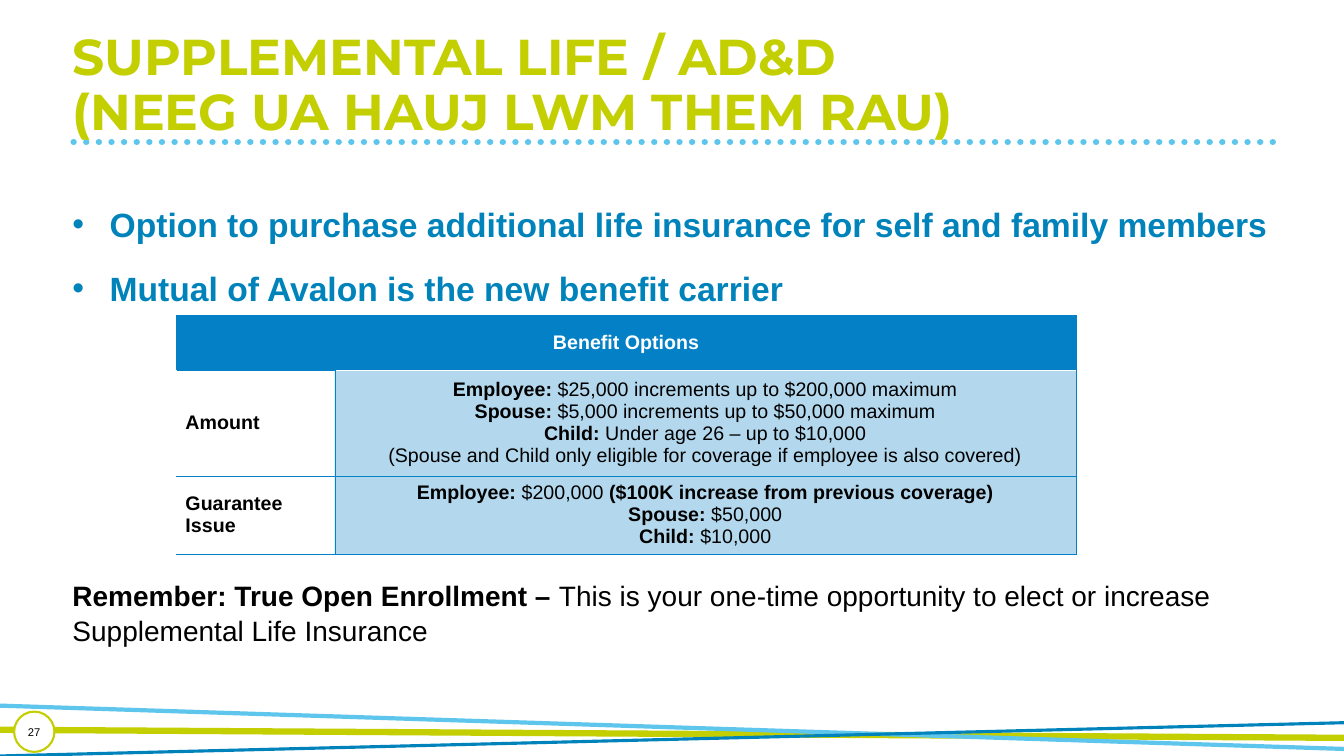
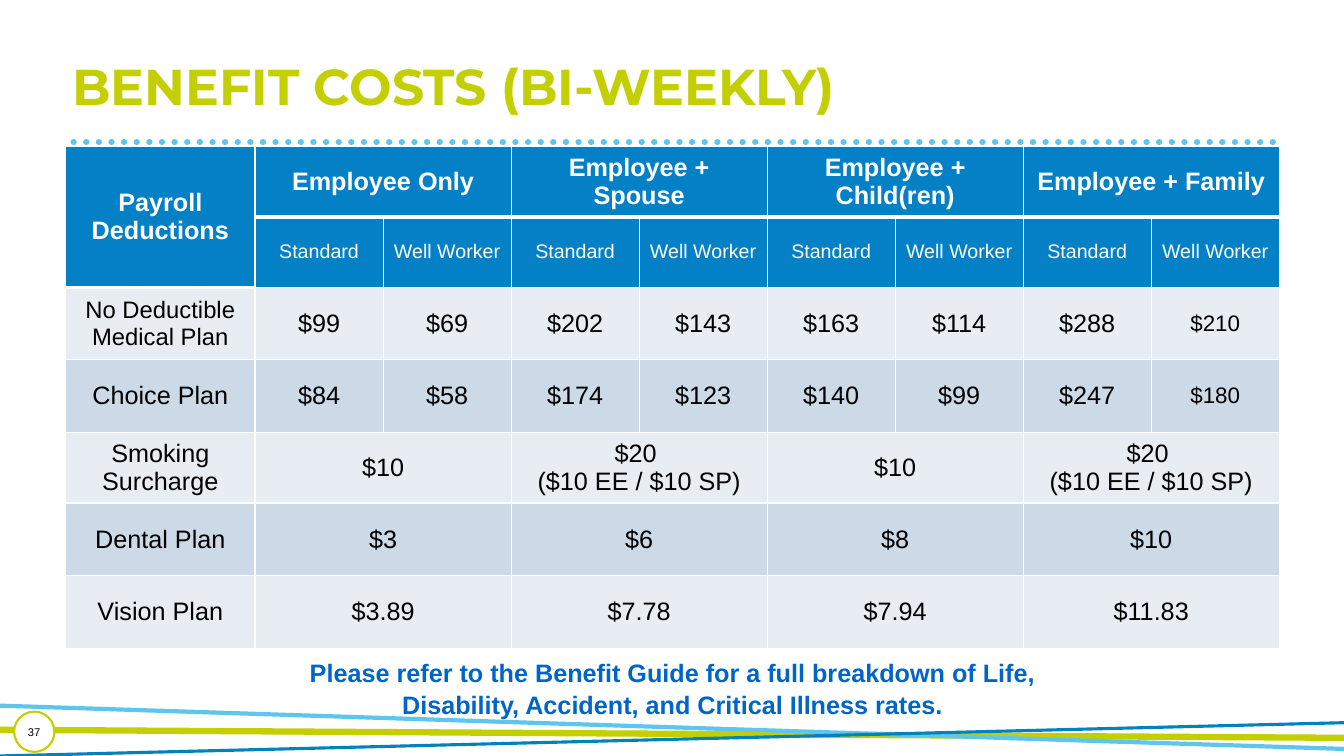
import pptx
import pptx.util
import pptx.dml.color
import pptx.enum.dml
import pptx.enum.shapes
import pptx.enum.text
import pptx.oxml.ns
from lxml import etree

Inches = pptx.util.Inches
Pt = pptx.util.Pt
qn = pptx.oxml.ns.qn
ALIGN = pptx.enum.text.PP_ALIGN
ANCHOR = pptx.enum.text.MSO_ANCHOR
SHAPE = pptx.enum.shapes.MSO_SHAPE

# Colours
LIME, SKY, BLUE, HEADER = "C3CF00", "5EC5ED", "0083BB", "0481C6"
NOTE_BLUE, WHITE, BLACK = "0065C6", "FFFFFF", "000000"
BAND_COLOURS = ["E7EDF3", "CCD9E7"]

# Shared lines: start, end, colour, width, dotted
FRAME_LINES = [
    ((0.73, 1.41), (12.66, 1.41), SKY, 4.5, True),
    ((-0.01, 7.24), (13.33, 7.32), LIME, 4.5, False),
    ((13.33, 7.43), (-0.01, 7), SKY, 3, False),
    ((-0.01, 7.5), (13.33, 7.17), BLUE, 2.25, False),
]

# Text styles
TITLE = {"size": Pt(36), "name": "Montserrat", "bold": True}
BULLET = {"size": Pt(24), "name": "Arial", "bold": True}
REMINDER = {"size": Pt(20), "name": "Arial", "bold": False}
NOTE = {"size": Pt(18), "name": "Arial", "bold": True}
NUMBER = {"size": Pt(8), "name": "Arial", "bold": False}
OPTION = {"size": Pt(14), "name": "Arial", "bold": False}
COST = {"size": Pt(18), "name": "Arial", "bold": False}

# Content; a paragraph is a list of (text, bold) runs
BULLETS = [
    [("Option to purchase additional life insurance for self and family members", True)],
    [("Mutual of Avalon is the new benefit carrier", True)],
]
REMEMBER = [[
    ("Remember: True Open Enrollment – ", True),
    ("This is your one-time opportunity to elect or increase Supplemental Life Insurance", False),
]]
OPTIONS = [
    ("Amount", [
        [("Employee: ", True), ("$25,000 increments up to $200,000 maximum", False)],
        [("Spouse: ", True), ("$5,000 increments up to $50,000 maximum", False)],
        [("Child: ", True), ("Under age 26 – up to $10,000", False)],
        [("(Spouse and Child only eligible for coverage if employee is also covered)", False)],
    ]),
    ("Guarantee Issue", [
        [("Employee: ", True), ("$200,000 ", False), ("($100K increase from previous coverage)", True)],
        [("Spouse: ", True), ("$50,000", False)],
        [("Child: ", True), ("$10,000", False)],
    ]),
]
TIERS = ["Employee Only", "Employee + Spouse", "Employee + Child(ren)", "Employee + Family"]
COSTS = [
    ("No Deductible Medical Plan", ["$99", "$69", "$202", "$143", "$163", "$114", "$288", "$210"]),
    ("Choice Plan", ["$84", "$58", "$174", "$123", "$140", "$99", "$247", "$180"]),
    ("Smoking Surcharge", ["$10", "$20 \n($10 EE / $10 SP)"] * 2),
    ("Dental Plan", ["$3", "$6", "$8", "$10"]),
    ("Vision Plan", ["$3.89", "$7.78", "$7.94", "$11.83"]),
]
COST_SIZES = {"No Deductible Medical Plan": 17, "$210": 16, "$180": 16}
COST_NOTE = ("Please refer to the Benefit Guide for a full breakdown of Life, "
             "Disability, Accident, and Critical Illness rates.")


def rgb(colour):
    return pptx.dml.color.RGBColor.from_string(colour)


def set_all(target, values):
    for name, value in values.items():
        setattr(target, name, value)


def write(frame, paragraphs, style, colour, spacing=None, bulleted=False):
    """Fill a text frame with paragraphs of (text, bold) runs."""
    for index, spans in enumerate(paragraphs):
        para = frame.paragraphs[0] if index == 0 else frame.add_paragraph()
        if bulleted:
            properties = para._p.get_or_add_pPr()
            properties.set("marL", str(Inches(0.37)))
            properties.set("indent", str(-Inches(0.37)))
            tint = etree.SubElement(properties, qn("a:buClr"))
            etree.SubElement(tint, qn("a:srgbClr"), val=colour)
            etree.SubElement(properties, qn("a:buFont"), typeface="Arial")
            etree.SubElement(properties, qn("a:buChar"), char="•")
        set_all(para, spacing or {})
        if index and bulleted:
            para.space_before = Pt(10)
        for text, bold in spans:
            for number, line in enumerate(text.split("\n")):
                if number:
                    para.add_line_break()
                span = para.add_run()
                span.text = line
                set_all(span.font, {**style, "bold": bold})
                span.font.color.rgb = rgb(colour)


def add_text(page, place, paragraphs, style, colour, spacing, bulleted=False):
    box = page.shapes.add_textbox(*map(Inches, place))
    box.text_frame.word_wrap = True
    write(box.text_frame, paragraphs, style, colour, spacing, bulleted)


def add_frame_line(page, start, end, colour, width, dotted):
    connector = page.shapes.add_connector(
        pptx.enum.shapes.MSO_CONNECTOR.STRAIGHT, *map(Inches, start + end))
    connector.line.color.rgb = rgb(colour)
    connector.line.width = Pt(width)
    properties = connector.element.spPr
    if dotted:
        connector.line.dash_style = pptx.enum.dml.MSO_LINE.ROUND_DOT
        properties.find(qn("a:ln")).set("cap", "rnd")
    etree.SubElement(properties, qn("a:effectLst"))


def add_page(deck, title, title_top, number):
    """Add a slide with the shared lines, title and number badge."""
    page = deck.slides.add_slide(deck.slide_layouts[6])
    for line in FRAME_LINES:
        add_frame_line(page, *line)
    add_text(page, (0.62, title_top, 12.03, 0.79), [[(title, True)]], TITLE, LIME,
             {"line_spacing": 0.9})
    badge = page.shapes.add_shape(SHAPE.OVAL, *map(Inches, (0.14, 7.06, 0.4, 0.4)))
    badge.shadow.inherit = False
    badge.fill.solid()
    badge.fill.fore_color.rgb = rgb(WHITE)
    badge.line.color.rgb = rgb(LIME)
    badge.line.width = Pt(1.5)
    set_all(badge.text_frame, {
        "margin_left": 0, "margin_right": 0, "margin_top": 0, "margin_bottom": 0,
        "vertical_anchor": ANCHOR.MIDDLE})
    write(badge.text_frame, [[(number, False)]], NUMBER, BLACK, {"alignment": ALIGN.CENTER})
    return page


def add_grid(page, left, top, widths, heights):
    frame = page.shapes.add_table(len(heights), len(widths), Inches(left), Inches(top),
                                  Inches(sum(widths)), Inches(sum(heights)))
    table = frame.table
    set_all(table, {"first_row": False, "horz_banding": False})
    for column, width in zip(table.columns, widths):
        column.width = Inches(width)
    for row, height in zip(table.rows, heights):
        row.height = Inches(height)
    return table


def draw_borders(cell, borders):
    """Draw borders given as {side: (colour, width)}, sides L, R, T, B."""
    properties = cell._tc.get_or_add_tcPr()
    for side in "LRTB":
        if side in borders:
            colour, width = borders[side]
            line = etree.SubElement(properties, qn("a:ln" + side), w=str(Pt(width)))
            fill = etree.SubElement(line, qn("a:solidFill"))
            etree.SubElement(fill, qn("a:srgbClr"), val=colour)


def fill_cell(cell, paragraphs, style, colour, fill, alignment=ALIGN.CENTER, opacity=None):
    cell.fill.solid()
    cell.fill.fore_color.rgb = rgb(fill)
    if opacity:
        tint = cell._tc.tcPr.find(qn("a:solidFill")).find(qn("a:srgbClr"))
        etree.SubElement(tint, qn("a:alpha"), val=str(opacity * 1000))
    cell.vertical_anchor = ANCHOR.MIDDLE
    write(cell.text_frame, paragraphs, style, colour, {"alignment": alignment})


def build_life_page(deck):
    page = add_page(deck, "SUPPLEMENTAL LIFE / AD&D\n(NEEG UA HAUJ LWM THEM RAU)", 0.27, "27")
    add_text(page, (0.62, 1.95, 12.2, 1.15), BULLETS, BULLET, BLUE,
             {"line_spacing": 1.05, "space_after": Pt(6)}, bulleted=True)
    add_text(page, (0.62, 5.67, 12.2, 0.85), REMEMBER, REMINDER, BLACK, {"line_spacing": 1.05})

    # Benefit options table
    table = add_grid(page, 1.75, 3.13, [1.57, 7.35], [0.54, 1.05, 0.73])
    thin = (HEADER, 0.25)
    boxed = dict.fromkeys("LRTB", thin)
    for column in range(2):
        draw_borders(table.cell(0, column), boxed)
    table.cell(0, 0).merge(table.cell(0, 1))
    fill_cell(table.cell(0, 0), [[("Benefit Options", True)]], OPTION, WHITE, HEADER)
    for row, (label, details) in enumerate(OPTIONS, 1):
        label_cell, detail_cell = table.cell(row, 0), table.cell(row, 1)
        for cell in (label_cell, detail_cell):
            set_all(cell, {"margin_left": Inches(0.09), "margin_right": Inches(0.09),
                           "margin_top": Inches(0.04), "margin_bottom": Inches(0.04)})
        draw_borders(label_cell, {"R": thin, "T": thin, "B": thin})
        draw_borders(detail_cell, {**boxed, "T": (WHITE, 0.25)} if row == 1 else boxed)
        fill_cell(label_cell, [[(label, True)]], OPTION, BLACK, WHITE, ALIGN.LEFT)
        fill_cell(detail_cell, details, OPTION, BLACK, HEADER, opacity=30)


def build_cost_page(deck):
    page = add_page(deck, "BENEFIT COSTS (BI-WEEKLY)", 0.57, "37")
    columns = 2 * len(TIERS)
    table = add_grid(page, 0.65, 1.45, [1.88] + [1.27] * columns,
                     [0.66, 0.66, 0.72, 0.72, 0.67, 0.72, 0.72])
    for row in range(len(table.rows)):
        for column in range(columns + 1):
            heavy = row == 0 or (row, column) == (1, 0)
            draw_borders(table.cell(row, column), {
                **dict.fromkeys("LRT", (WHITE, 1)), "B": (WHITE, 3 if heavy else 1)})

    # Header rows
    corner = table.cell(0, 0)
    corner.merge(table.cell(1, 0))
    fill_cell(corner, [[("Payroll Deductions", True)]], COST, WHITE, HEADER)
    for index, tier in enumerate(TIERS):
        first = 1 + 2 * index
        table.cell(0, first).merge(table.cell(0, first + 1))
        fill_cell(table.cell(0, first), [[(tier, True)]], COST, WHITE, HEADER)
        for offset, rate in enumerate(["Standard", "Well Worker"]):
            fill_cell(table.cell(1, first + offset), [[(rate, False)]], OPTION, WHITE, HEADER)

    # Cost rows; four values span two columns each
    for index, (plan, values) in enumerate(COSTS):
        row, width = index + 2, columns // len(values)
        places = [0] + [1 + width * number for number in range(len(values))]
        for column, text in zip(places, [plan] + values):
            cell = table.cell(row, column)
            if column and width > 1:
                cell.merge(table.cell(row, column + width - 1))
            style = {**COST, "size": Pt(COST_SIZES.get(text, 18))}
            fill_cell(cell, [[(text, False)]], style, BLACK, BAND_COLOURS[index % 2])

    add_text(page, (2.76, 6.46, 7.82, 0.79), [[(COST_NOTE, True)]], NOTE, NOTE_BLUE,
             {"alignment": ALIGN.CENTER, "line_spacing": 1.05})


def main():
    deck = pptx.Presentation()
    set_all(deck, {"slide_width": Inches(13.33), "slide_height": Inches(7.5)})
    build_life_page(deck)
    build_cost_page(deck)
    deck.save("out.pptx")


if __name__ == "__main__":
    main()
